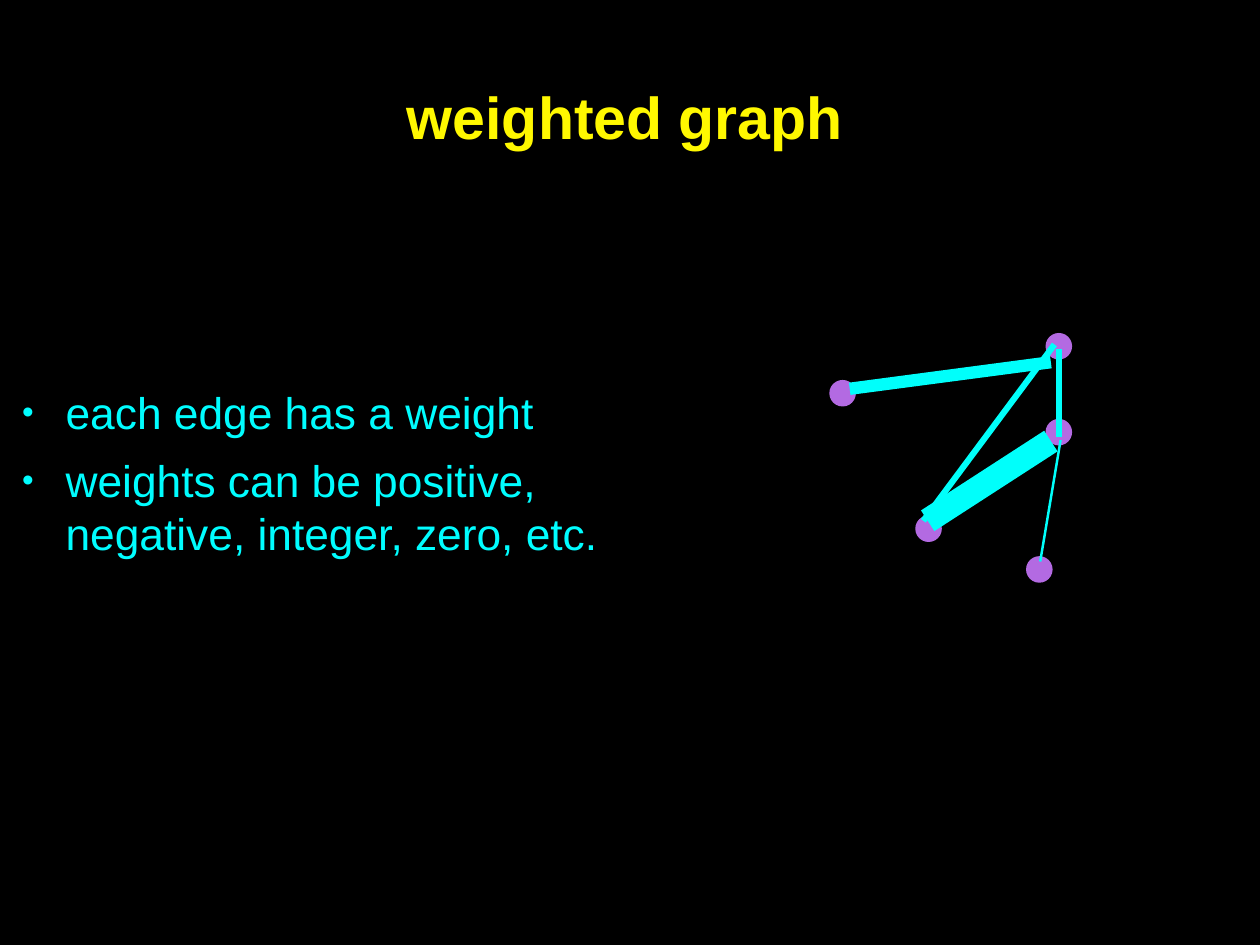
import pptx
import pptx.dml.color
import pptx.enum.shapes
import pptx.enum.text
import pptx.oxml
import pptx.oxml.ns
import pptx.util
from dataclasses import dataclass
from pptx.util import Inches


@dataclass(frozen=True)
class Theme:
    font: str = "Arial"
    back: str = "000000"
    title: str = "FFF800"
    body: str = "00FDFF"
    node: str = "B36AE2"
    edge: str = "00FFFB"
    big: int = 48
    mid: int = 36


THEME = Theme()
SIZE = 0.3
INSET = 0.06

# Left and top of each node
NODES = [(10.33, 5.82), (11.58, 6.28), (11.8, 4.73), (9.36, 4.29), (11.8, 3.76)]

# Start, end and weight in points of each edge
EDGES = [
    ((11.74, 6.34), (11.97, 4.97), 2),
    ((11.86, 4.09), (9.59, 4.39), 10),
    ((10.42, 5.88), (11.9, 3.89), 5),
    ((10.47, 5.88), (11.86, 4.98), 20),
    ((11.95, 4.94), (11.95, 3.94), 5),
]

POINTS = [
    "each edge has a weight",
    "weights can be positive, negative, integer, zero, etc.",
]


def rgb(code):
    return pptx.dml.color.RGBColor.from_string(code)


def add_xml(parent, tag, **attrs):
    item = pptx.oxml.parse_xml(f"<a:{tag} {pptx.oxml.ns.nsdecls('a')}/>")
    for name, value in attrs.items():
        item.set(name, str(value))
    parent.append(item)


def add_bullet(para, indent=0.49):
    props = para._p.get_or_add_pPr()
    props.set("marL", str(Inches(indent)))
    props.set("indent", str(-Inches(indent)))
    add_xml(props, "buSzPct", val=75000)
    add_xml(props, "buFont", typeface=THEME.font)
    add_xml(props, "buChar", char="•")


def add_text(slide, lines, box, *, size, color, bold=False, wrap=True,
             align=pptx.enum.text.PP_ALIGN.LEFT, bullet=False, gap=0):
    frame = slide.shapes.add_textbox(*map(Inches, box)).text_frame
    frame.word_wrap = wrap
    frame.vertical_anchor = pptx.enum.text.MSO_ANCHOR.MIDDLE
    frame.margin_left = frame.margin_right = Inches(INSET)
    frame.margin_top = frame.margin_bottom = Inches(INSET)
    for i, line in enumerate(lines):
        para = frame.add_paragraph() if i else frame.paragraphs[0]
        para.alignment = align
        if i and gap:
            para.space_before = pptx.util.Pt(gap)
        if bullet:
            add_bullet(para)
        run = para.add_run()
        run.text = line
        run.font.name = THEME.font
        run.font.size = pptx.util.Pt(size)
        run.font.bold = bold
        run.font.color.rgb = rgb(color)


def add_node(group, left, top):
    node = group.shapes.add_shape(
        pptx.enum.shapes.MSO_SHAPE.OVAL,
        Inches(left), Inches(top), Inches(SIZE), Inches(SIZE))
    node.shadow.inherit = False
    node.fill.solid()
    node.fill.fore_color.rgb = rgb(THEME.node)
    node.line.fill.background()


def add_edge(group, start, end, weight):
    edge = group.shapes.add_connector(
        pptx.enum.shapes.MSO_CONNECTOR.STRAIGHT,
        *map(Inches, start + end))
    edge.line.color.rgb = rgb(THEME.edge)
    edge.line.width = pptx.util.Pt(weight)
    add_xml(edge._element.spPr, "effectLst")


def main():
    deck = pptx.Presentation()
    deck.slide_width, deck.slide_height = Inches(14.22), Inches(10.67)
    slide = deck.slides.add_slide(deck.slide_layouts[6])
    slide.background.fill.solid()
    slide.background.fill.fore_color.rgb = rgb(THEME.back)

    # Graph: nodes lie behind the edges
    graph = slide.shapes.add_group_shape()
    for spot in NODES:
        add_node(graph, *spot)
    for edge in EDGES:
        add_edge(graph, *edge)

    # Title and points
    add_text(slide, ["weighted graph"], (4.53, 0.85, 5.05, 0.92),
             size=THEME.big, color=THEME.title, bold=True, wrap=False,
             align=pptx.enum.text.PP_ALIGN.CENTER)
    add_text(slide, POINTS, (0.19, 4.3, 7.28, 2.07),
             size=THEME.mid, color=THEME.body, bullet=True, gap=12)

    deck.save("out.pptx")


if __name__ == "__main__":
    main()
